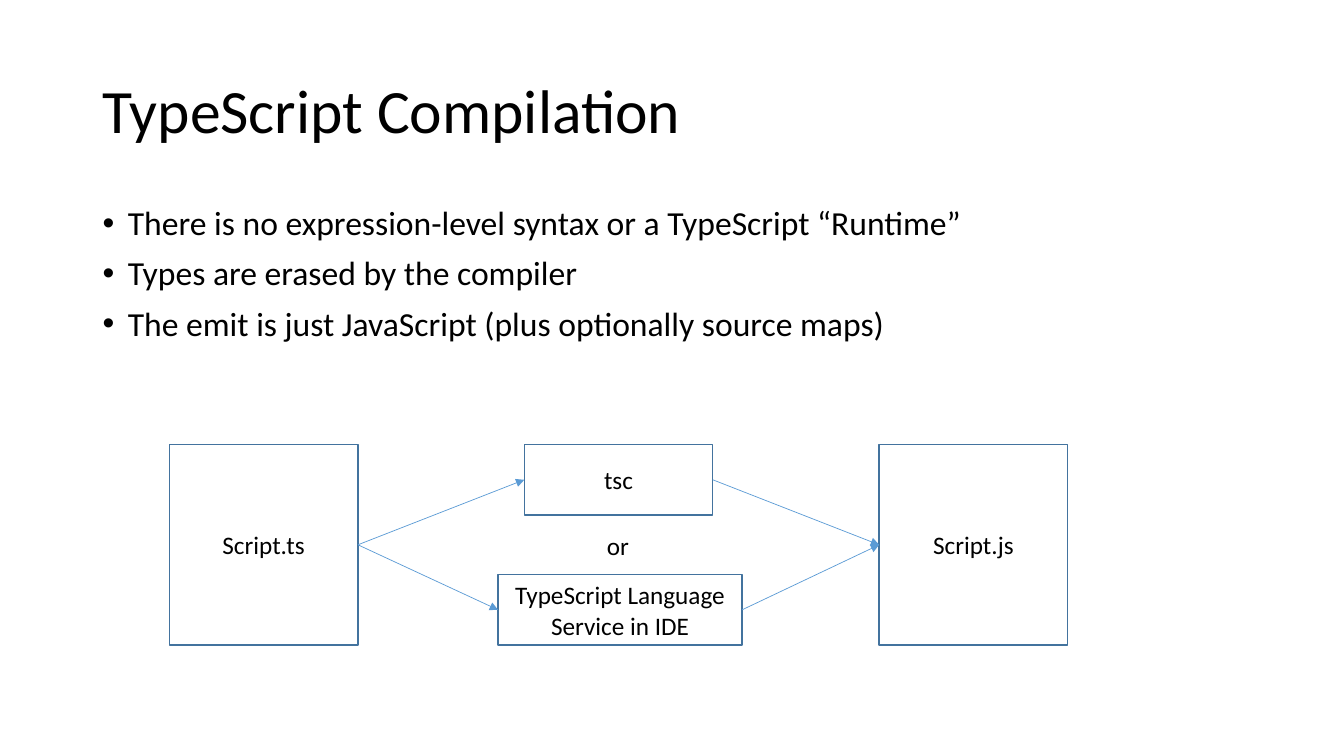
from dataclasses import dataclass

from lxml import etree
from pptx import Presentation
from pptx.dml.color import RGBColor
from pptx.enum.shapes import MSO_CONNECTOR, MSO_SHAPE
from pptx.enum.text import MSO_ANCHOR, PP_ALIGN
from pptx.oxml.ns import qn
from pptx.util import Inches, Pt

RECT = MSO_SHAPE.RECTANGLE
STRAIGHT = MSO_CONNECTOR.STRAIGHT
TOP, MIDDLE = MSO_ANCHOR.TOP, MSO_ANCHOR.MIDDLE
LEFT, CENTER = PP_ALIGN.LEFT, PP_ALIGN.CENTER
LEFT_SITE, RIGHT_SITE = 1, 3


@dataclass(frozen=True)
class Theme:
    font: str = "Calibri"
    text: RGBColor = RGBColor(0, 0, 0)
    fill: RGBColor = RGBColor(255, 255, 255)
    border: RGBColor = RGBColor(0x43, 0x73, 0x9E)
    arrow: RGBColor = RGBColor(0x5B, 0x9B, 0xD5)
    title_size: int = 44
    body_size: int = 24
    label_size: int = 18
    border_width: float = 1
    arrow_width: float = 0.5


@dataclass(frozen=True)
class Box:
    label: str
    left: float
    top: float
    width: float
    height: float


THEME = Theme()


def add_run(p, text: str, size: int) -> None:
    r = p.add_run()
    r.text = text
    r.font.name = THEME.font
    r.font.size = Pt(size)
    r.font.color.rgb = THEME.text


def add_text(slide, left: float, top: float, width: float, height: float,
             anchor=TOP, wrap: bool = True):
    sp = slide.shapes.add_textbox(Inches(left), Inches(top), Inches(width), Inches(height))
    tf = sp.text_frame
    tf.word_wrap = wrap
    tf.vertical_anchor = anchor
    return tf


def add_bullet(p, text: str) -> None:
    p.line_spacing = 0.9
    p.space_before = Pt(10)
    pPr = p._p.get_or_add_pPr()
    pPr.set("marL", str(Inches(0.25)))
    pPr.set("indent", str(-Inches(0.25)))
    etree.SubElement(pPr, qn("a:buFont")).set("typeface", "Arial")
    etree.SubElement(pPr, qn("a:buChar")).set("char", "•")
    add_run(p, text, THEME.body_size)


def add_box(slide, box: Box):
    sp = slide.shapes.add_shape(RECT, Inches(box.left), Inches(box.top),
                                Inches(box.width), Inches(box.height))
    sp.shadow.inherit = False
    sp.fill.solid()
    sp.fill.fore_color.rgb = THEME.fill
    sp.line.color.rgb = THEME.border
    sp.line.width = Pt(THEME.border_width)
    tf = sp.text_frame
    tf.word_wrap = True
    tf.vertical_anchor = MIDDLE
    p = tf.paragraphs[0]
    p.alignment = CENTER
    add_run(p, box.label, THEME.label_size)
    return sp


def add_arrow(slide, source, target) -> None:
    line = slide.shapes.add_connector(STRAIGHT, 0, 0, 0, 0)
    line.begin_connect(source, RIGHT_SITE)
    line.end_connect(target, LEFT_SITE)
    line.line.color.rgb = THEME.arrow
    line.line.width = Pt(THEME.arrow_width)
    etree.SubElement(line.line._get_or_add_ln(), qn("a:tailEnd")).set("type", "triangle")
    etree.SubElement(line._element.spPr, qn("a:effectLst"))


prs = Presentation()
prs.slide_width, prs.slide_height = Inches(13.33), Inches(7.5)
slide = prs.slides.add_slide(prs.slide_layouts[6])

# Title
p = add_text(slide, 0.92, 0.4, 11.5, 1.45, MIDDLE).paragraphs[0]
p.line_spacing = 0.9
add_run(p, "TypeScript Compilation", THEME.title_size)

# Bullets
BULLETS = (
    "There is no expression-level syntax or a TypeScript “Runtime”",
    "Types are erased by the compiler",
    "The emit is just JavaScript (plus optionally source maps)",
)
tf = add_text(slide, 0.92, 2, 11.5, 4.76)
for i, bullet in enumerate(BULLETS):
    add_bullet(tf.add_paragraph() if i else tf.paragraphs[0], bullet)

# Compilation flow: source file, two alternative compilers, output file
ROW_TOP, FILE_WIDTH, FILE_HEIGHT, TOOL_HEIGHT = 4.41, 1.87, 1.99, 0.7
source = add_box(slide, Box("Script.ts", 1.68, ROW_TOP, FILE_WIDTH, FILE_HEIGHT))
output = add_box(slide, Box("Script.js", 8.72, ROW_TOP, FILE_WIDTH, FILE_HEIGHT))
compilers = [add_box(slide, box) for box in (
    Box("tsc", 5.2, ROW_TOP, FILE_WIDTH, TOOL_HEIGHT),
    Box("TypeScript Language Service in IDE", 4.94,
        ROW_TOP + FILE_HEIGHT - TOOL_HEIGHT, 2.42, TOOL_HEIGHT),
)]

p = add_text(slide, 5.92, 5.21, 0.42, 0.4, wrap=False).paragraphs[0]
p.alignment = LEFT
add_run(p, "or", THEME.label_size)

for compiler in compilers:
    add_arrow(slide, source, compiler)
    add_arrow(slide, compiler, output)

prs.save("out.pptx")
